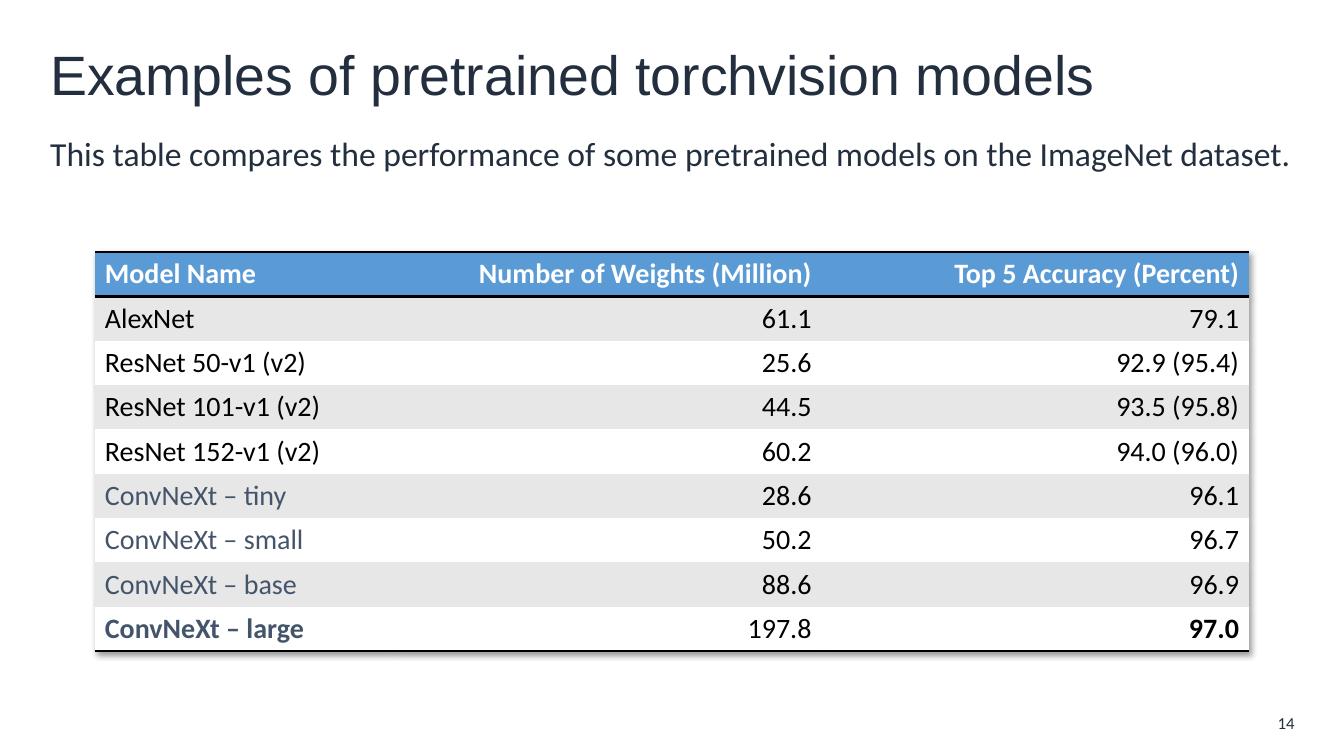
from dataclasses import dataclass

from lxml import etree
from pptx import Presentation
from pptx.dml.color import RGBColor
from pptx.enum import text
from pptx.oxml import parse_xml
from pptx.oxml.ns import nsdecls, qn
from pptx.util import Inches, Pt


@dataclass(frozen=True)
class Theme:
    ink: str = "232F3E"
    header: str = "5B9BD5"
    band: str = "E7E7E7"
    white: str = "FFFFFF"
    black: str = "000000"
    accent: str = "44546A"
    heading_font: str = "Arial"
    body_font: str = "Calibri"
    title_size: float = 39.6
    body_size: float = 24
    table_size: float = 20
    number_size: float = 12


theme = Theme()
LEFT, RIGHT = text.PP_ALIGN.LEFT, text.PP_ALIGN.RIGHT
TOP, MIDDLE = text.MSO_ANCHOR.TOP, text.MSO_ANCHOR.MIDDLE
NO_STYLE = "{2D5ABB26-0587-4C30-8999-92F81FD0307C}"


def style(p, size, color, name=theme.body_font, bold=False, align=LEFT):
    p.alignment = align
    p.font.size, p.font.name, p.font.bold = Pt(size), name, bold
    p.font.color.rgb = RGBColor.from_string(color)


def add_text(s, box, content, size, name=theme.body_font, align=LEFT, anchor=MIDDLE):
    tf = s.shapes.add_textbox(*map(Inches, box)).text_frame
    tf.word_wrap, tf.vertical_anchor = True, anchor
    p = tf.paragraphs[0]
    p.text = content
    style(p, size, theme.ink, name, align=align)
    return p


prs = Presentation()
prs.slide_width, prs.slide_height = Inches(13.33), Inches(7.5)
s = prs.slides.add_slide(prs.slide_layouts[6])

add_text(s, (12.41, 7.05, 0.53, 0.25), "14", theme.number_size, align=RIGHT)
add_text(s, (0.4, 0.33, 12.54, 0.8), "Examples of pretrained torchvision models",
         theme.title_size, theme.heading_font)
p = add_text(s, (0.4, 1.27, 12.54, 0.8),
             "This table compares the performance of some pretrained models on the ImageNet dataset.",
             theme.body_size, anchor=TOP)
p.space_before, p.space_after = Pt(10), Pt(6)

rows = [
    ("Model Name", "Number of Weights (Million)", "Top 5 Accuracy (Percent)"),
    ("AlexNet", "61.1", "79.1"),
    ("ResNet 50-v1 (v2)", "25.6", "92.9 (95.4)"),
    ("ResNet 101-v1 (v2)", "44.5", "93.5 (95.8)"),
    ("ResNet 152-v1 (v2)", "60.2", "94.0 (96.0)"),
    ("ConvNeXt – tiny", "28.6", "96.1"),
    ("ConvNeXt – small", "50.2", "96.7"),
    ("ConvNeXt – base", "88.6", "96.9"),
    ("ConvNeXt – large", "197.8", "97.0"),
]
last = len(rows) - 1
col_widths, row_height = (2.97, 4.24, 4.24), 0.44

table = s.shapes.add_table(len(rows), len(col_widths), Inches(0.94), Inches(2.5),
                           Inches(sum(col_widths)), Inches(row_height * len(rows))).table
tbl_pr = table._tbl.tblPr
tbl_pr.find(qn("a:tableStyleId")).text = NO_STYLE
tbl_pr.insert(0, parse_xml(
    f'<a:effectLst {nsdecls("a")}><a:outerShdw blurRad="50800" dist="38100" dir="2700000" '
    f'algn="tl" rotWithShape="0"><a:srgbClr val="{theme.black}"><a:alpha val="40000"/>'
    '</a:srgbClr></a:outerShdw></a:effectLst>'))

for column, width in zip(table.columns, col_widths):
    column.width = Inches(width)

for i, row in enumerate(rows):
    table.rows[i].height = Inches(row_height)
    for j, value in enumerate(row):
        cell = table.cell(i, j)
        cell.text = value
        if i == 0:
            fill, color = theme.header, theme.white
        else:
            fill = theme.band if i % 2 else theme.white
            color = theme.accent if value.startswith("ConvNeXt") else theme.black
        bold = i == 0 or (i == last and j != 1)
        style(cell.text_frame.paragraphs[0], theme.table_size, color,
              bold=bold, align=RIGHT if j else LEFT)
        cell.fill.solid()
        cell.fill.fore_color.rgb = RGBColor.from_string(fill)

        edges = {0: ("lnT", "lnB"), last: ("lnB",)}.get(i, ())
        tc_pr = cell._tc.get_or_add_tcPr()
        for k, edge in enumerate(edges):
            ln = etree.Element(qn(f"a:{edge}"), w=str(Pt(2)))
            line_fill = etree.SubElement(ln, qn("a:solidFill"))
            etree.SubElement(line_fill, qn("a:srgbClr"), val=theme.black)
            tc_pr.insert(k, ln)

prs.save("out.pptx")
